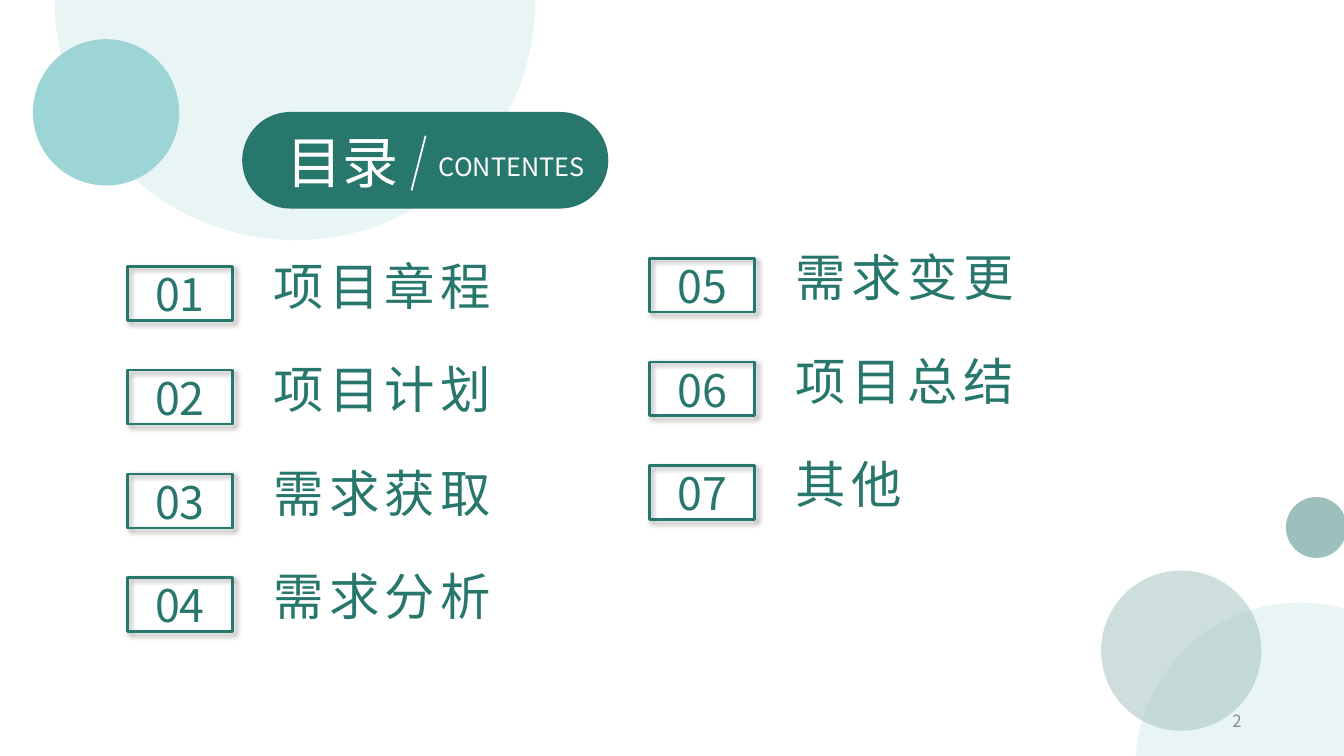
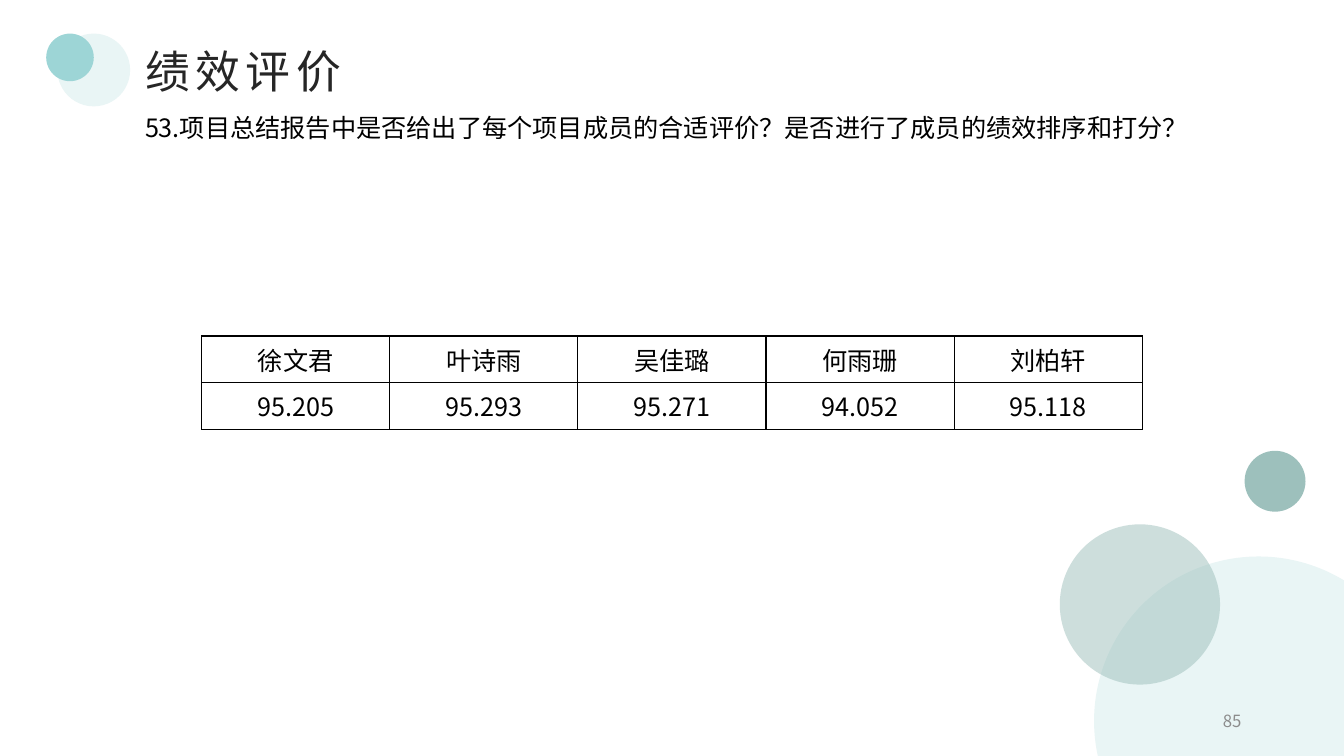
from lxml.etree import SubElement
from pptx import Presentation
from pptx.dml.color import RGBColor
from pptx.enum.shapes import MSO_CONNECTOR, MSO_SHAPE
from pptx.enum.text import MSO_ANCHOR, MSO_AUTO_SIZE, PP_ALIGN
from pptx.oxml import parse_xml
from pptx.oxml.ns import nsdecls, qn
from pptx.util import Pt

FONT = "Noto Sans CJK SC"
GREEN, TEAL, SAGE, MIST = "27776D", "9DD5D6", "9DC0BC", "E9F5F5"
WHITE, BLACK, INK, GRAY = "FFFFFF", "000000", "262626", "8C8C8C"
LEFT, CENTER, RIGHT = PP_ALIGN.LEFT, PP_ALIGN.CENTER, PP_ALIGN.RIGHT


def rgb(hex_color):
    return RGBColor.from_string(hex_color)


def points(*values):
    return [Pt(value) for value in values]


def set_text(frame, text, size, color, align=LEFT, spacing=0):
    """Put one formatted line of text, in Latin and East Asian type, in a frame."""
    frame.text = text
    paragraph = frame.paragraphs[0]
    paragraph.alignment = align
    run = paragraph.runs[0]
    run.font.size = Pt(size)
    run.font.color.rgb = rgb(color)
    run.font.name = FONT
    properties = run.font._element
    SubElement(properties, qn("a:ea")).set("typeface", FONT)
    if spacing:
        properties.set("spc", str(spacing * 100))


def center_vertically(frame):
    frame.word_wrap = True
    frame.auto_size = MSO_AUTO_SIZE.NONE
    frame.vertical_anchor = MSO_ANCHOR.MIDDLE


def add_label(slide, box, text, size, color, align=LEFT, spacing=0):
    frame = slide.shapes.add_textbox(*points(*box)).text_frame
    center_vertically(frame)
    set_text(frame, text, size, color, align, spacing)


def add_plain_shape(slide, kind, box, fill, opacity=100):
    shape = slide.shapes.add_shape(kind, *points(*box))
    shape.shadow.inherit = False
    shape.line.fill.background()
    shape.fill.solid()
    shape.fill.fore_color.rgb = rgb(fill)
    if opacity < 100:
        tint = shape.fill._xPr.find(f".//{qn('a:srgbClr')}")
        SubElement(tint, qn("a:alpha")).set("val", str(opacity * 1000))
    return shape


def add_circle(slide, left, top, diameter, fill, opacity=100):
    box = (left, top, diameter, diameter)
    add_plain_shape(slide, MSO_SHAPE.OVAL, box, fill, opacity)


def place_title(slide, box, text, size, color, spacing=0):
    """Format the title placeholder and bring it in front of what is drawn so far."""
    title = slide.shapes.title
    title.left, title.top, title.width, title.height = points(*box)
    center_vertically(title.text_frame)
    set_text(title.text_frame, text, size, color, spacing=spacing)
    title.element.getparent().append(title.element)


def corner_bubbles(slide, left, top):
    add_circle(slide, left + 24.5, top + 23, 235, MIST)
    add_circle(slide, left + 132, top - 52.5, 43.5, SAGE)
    add_circle(slide, left, top, 114.5, SAGE, opacity=51)


def page_number(slide, number):
    add_label(slide, (678, 500.5, 216, 28.75), number, 12, GRAY, RIGHT)


def contents_banner(slide, left, top):
    pill = add_plain_shape(slide, MSO_SHAPE.ROUNDED_RECTANGLE, (left, top, 261.5, 69), GREEN)
    pill.adjustments[0] = 0.5
    place_title(slide, (left + 24.5, top + 7, 97, 55.5), "目录", 40, WHITE)
    slash = slide.shapes.add_connector(
        MSO_CONNECTOR.STRAIGHT, *points(left + 121, top + 56, left + 131, top + 17))
    slash.line.color.rgb = rgb(WHITE)
    slash.line.width = Pt(1.25)
    SubElement(slash.element.spPr, qn("a:effectLst"))
    add_label(slide, (left + 133.5, top + 24.5, 128, 29), "CONTENTES", 18, WHITE)


def contents_entry(slide, left, top, number, heading):
    frame = slide.shapes.add_shape(MSO_SHAPE.RECTANGLE, *points(left, top, 75, 38.5))
    frame.fill.background()
    frame.line.color.rgb = rgb(GREEN)
    frame.line.width = Pt(1.75)
    frame.element.spPr.append(parse_xml(
        f'<a:effectLst {nsdecls("a")}>'
        f'<a:outerShdw blurRad="{Pt(4)}" dist="{Pt(3)}" dir="2700000" algn="tl" rotWithShape="0">'
        f'<a:srgbClr val="{BLACK}"><a:alpha val="40000"/></a:srgbClr>'
        '</a:outerShdw></a:effectLst>'))
    add_label(slide, (left + 2, top - 3.5, 71, 46), f"{number:02d}", 32, GREEN, CENTER)
    add_label(slide, (left + 97, top - 12.5, 272, 51), heading, 36, GREEN, spacing=4)


def contents_column(slide, left, top, first_number, headings):
    for row, heading in enumerate(headings):
        contents_entry(slide, left, top + 74 * row, first_number + row, heading)


def set_borders(cell, color, width):
    properties = cell._tc.get_or_add_tcPr()
    for index, side in enumerate(("lnL", "lnR", "lnT", "lnB")):
        properties.insert(index, parse_xml(
            f'<a:{side} {nsdecls("a")} w="{Pt(width)}"><a:solidFill>'
            f'<a:srgbClr val="{color}"/></a:solidFill></a:{side}>'))


def score_table(slide, box, rows):
    table = slide.shapes.add_table(len(rows), len(rows[0]), *points(*box)).table
    table.first_row = table.horz_banding = False
    for r, values in enumerate(rows):
        for c, value in enumerate(values):
            cell = table.cell(r, c)
            cell.fill.background()
            cell.vertical_anchor = MSO_ANCHOR.MIDDLE
            set_borders(cell, BLACK, 1)
            set_text(cell.text_frame, value, 18, BLACK, CENTER)


def section_heading(slide, left, top, text):
    add_circle(slide, left + 8, top, 52, MIST)
    add_circle(slide, left, top, 34, TEAL)
    place_title(slide, (left + 63.5, top + 2.5, 458.5, 48), text, 32, INK, spacing=4)


def contents_slide(slide):
    add_circle(slide, 39, -172, 343.5, MIST)
    add_circle(slide, 23.5, 28, 104.5, TEAL)
    contents_banner(slide, 173, 80)
    contents_column(slide, 91, 190.5, 1, ["项目章程", "项目计划", "需求获取", "需求分析"])
    contents_column(slide, 464, 184.5, 5, ["需求变更", "项目总结", "其他"])
    corner_bubbles(slide, 786.5, 407.5)
    page_number(slide, "2")


def evaluation_slide(slide):
    corner_bubbles(slide, 757, 374.5)
    section_heading(slide, 33, 24, "绩效评价")
    add_label(slide, (96.5, 75, 768, 32),
              "53.项目总结报告中是否给出了每个项目成员的合适评价？是否进行了成员的绩效排序和打分？",
              18, BLACK)
    score_table(slide, (144, 240, 672, 60), [
        ["徐文君", "叶诗雨", "吴佳璐", "何雨珊", "刘柏轩"],
        ["95.205", "95.293", "95.271", "94.052", "95.118"],
    ])
    page_number(slide, "85")


def main():
    deck = Presentation()
    deck.slide_width, deck.slide_height = points(960, 540)
    title_only = deck.slide_layouts[5]
    for build in (contents_slide, evaluation_slide):
        build(deck.slides.add_slide(title_only))
    deck.save("out.pptx")


if __name__ == "__main__":
    main()
